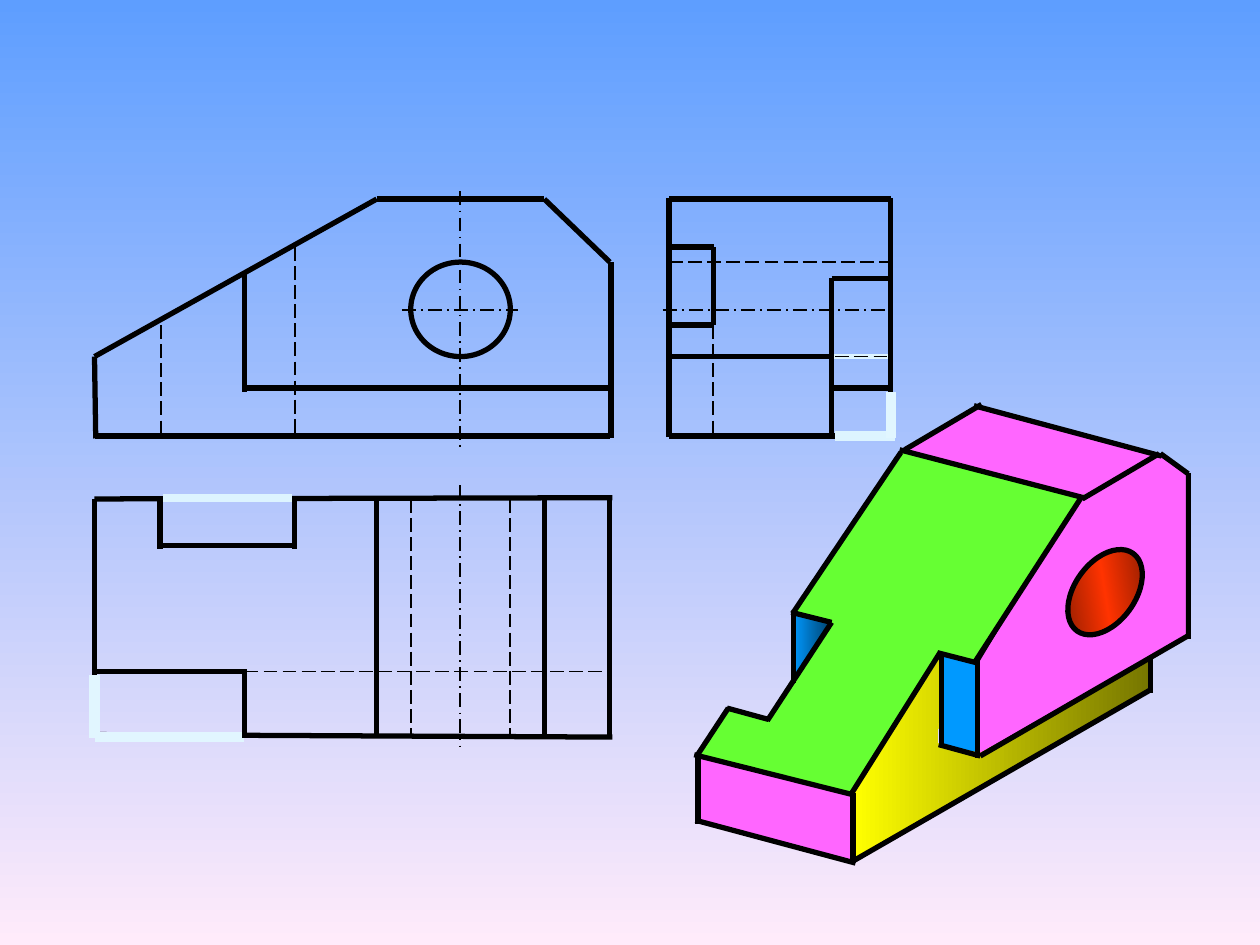
from copy import deepcopy
from lxml.etree import SubElement
from pptx import Presentation
from pptx.dml.color import RGBColor
from pptx.enum.dml import MSO_LINE_DASH_STYLE as Dash
from pptx.enum.shapes import MSO_CONNECTOR as Connector, MSO_SHAPE as Shape
from pptx.oxml.ns import qn
from pptx.util import Inches, Pt

COLS, ROWS = 1000, 750
COLORS = {
    "sky": "5E9EFF", "blush": "FFEBFA", "ink": "000000",
    "pink": "FF66FF", "green": "66FF33", "blue": "0099FF", "navy": "004776",
    "yellow": "FFFF00", "olive": "767600", "red": "FF3300", "rust": "761800",
    "ice": "DDF4FF", "frost": "E1F6FF",
}
EDGE = ("ink", 3, None)
HIDDEN = ("ink", 1, Dash.LONG_DASH)
AXIS = ("ink", 1, Dash.LONG_DASH_DOT)


class Drawing:
    def __init__(self, prs):
        self.slide = prs.slides.add_slide(prs.slide_layouts[6])
        self.cell = prs.slide_width // COLS
        self.shapes = self.slide.shapes

    def color(self, name):
        return RGBColor.from_string(COLORS[name])

    def gradient(self, fill, owner, names, angle):
        fill.gradient()
        fill.gradient_angle = angle
        stop_list = owner.xpath(".//a:gsLst")[0]
        for _ in names[2:]:
            stop_list.append(deepcopy(stop_list[-1]))
        for i, (stop, name) in enumerate(zip(fill.gradient_stops, names)):
            stop.color.rgb = self.color(name)
            stop.position = i / (len(names) - 1)

    def background(self, *names):
        self.gradient(self.slide.background.fill, self.slide.element, names, 270)

    def paint(self, shape, names, angle, outline):
        shape.shadow.inherit = False
        if not names:
            shape.fill.background()
        elif len(names) == 1:
            shape.fill.solid()
            shape.fill.fore_color.rgb = self.color(names[0])
        else:
            self.gradient(shape.fill, shape.element, names, angle)
        if outline:
            shape.line.color.rgb = self.color("ink")
            shape.line.width = Pt(outline)
        else:
            shape.line.fill.background()

    def face(self, points, *names, outline=0):
        builder = self.shapes.build_freeform(*points[0], scale=self.cell)
        builder.add_line_segments(points[1:], close=True)
        self.paint(builder.convert_to_shape(), names, 0, outline)

    def hole(self, left, top, width, height, *names, tilt=0):
        box = [v * self.cell for v in (left, top, width, height)]
        oval = self.shapes.add_shape(Shape.OVAL, *box)
        oval.rotation = tilt
        self.paint(oval, names, 45, 3)

    def lines(self, style, *segments):
        name, width, dash = style
        for segment in segments:
            ends = [v * self.cell for v in segment]
            line = self.shapes.add_connector(Connector.STRAIGHT, *ends)
            line.line.color.rgb = self.color(name)
            line.line.width = Pt(width)
            if dash:
                line.line.dash_style = dash
            SubElement(line.element.spPr, qn("a:effectLst"))


def draw_solid(d):
    d.shapes = d.slide.shapes.add_group_shape().shapes
    d.face([(919, 360), (942, 376), (942, 505), (777, 599), (776, 526),
            (855, 395)], "pink", outline=1)
    d.face([(718, 358), (776, 324), (917, 361), (861, 394), (748, 364)], "pink")
    d.face([(747, 519), (747, 590), (776, 598), (776, 524)], "blue")
    d.face([(629, 487), (658, 494), (629, 541)], "blue", "navy")
    d.face([(555, 599), (555, 652), (676, 683), (676, 630)], "pink")
    d.face([(677, 631), (677, 683), (911, 550), (913, 523), (778, 598),
            (744, 590), (747, 521)], "yellow", "olive")
    d.face([(715, 358), (861, 397), (860, 392), (773, 527), (745, 519),
            (676, 629), (553, 600), (578, 562), (611, 571), (660, 495),
            (630, 488)], "green")
    d.lines(EDGE,
            (554, 600, 554, 654), (677, 629, 677, 685), (630, 486, 630, 542),
            (747, 518, 747, 592), (776, 523, 776, 602), (943, 375, 943, 507),
            (551, 599, 678, 631), (552, 651, 679, 685), (714, 357, 860, 395),
            (859, 396, 920, 360), (773, 322, 922, 362), (628, 486, 660, 494),
            (744, 518, 775, 526), (745, 591, 778, 600), (778, 600, 944, 504),
            (913, 523, 913, 550), (914, 547, 676, 684), (718, 357, 779, 321),
            (921, 360, 943, 376), (858, 395, 774, 525), (715, 359, 629, 487),
            (660, 494, 609, 572), (610, 571, 577, 562), (578, 562, 553, 600),
            (746, 518, 675, 631))
    d.hole(853, 432, 48, 76, "rust", "red", "rust", tilt=35.9)
    d.shapes = d.slide.shapes


def draw_views(d):
    left, step, ridge, bevel, right = 75, 194, 299, 432, 484
    slot_left, slot_right, axis = 128, 234, 365
    bore_left, bore_right = 326, 405
    top, bore_top, center, bore_bottom, ledge, base = 158, 208, 246, 283, 308, 346
    back, shelf, front = 396, 533, 583
    side_left, side_slot, side_step, side_right = 531, 566, 660, 707

    d.lines(EDGE,
            (left, base, right, base), (left + 1, base + 2, left, bore_bottom),
            (left, bore_bottom, ridge, top), (ridge, top, bevel, top),
            (bevel, top, right, bore_top), (right + 1, bore_top, right + 1, base + 2),
            (step, 217, step, ledge + 3), (step, ledge, right, ledge))
    d.hole(bore_left, bore_top, bore_right - bore_left, bore_bottom - bore_top)
    d.lines(AXIS, (axis, 152, axis, 355), (319, center, 411, center))
    d.lines(HIDDEN, (slot_right, 196, slot_right, base),
            (slot_left, 258, slot_left, base))

    d.lines(EDGE,
            (left, back, right + 2, back - 1), (left, front, right + 2, front + 2),
            *[(x, back, x, front) for x in (left, ridge, bevel, right)],
            (slot_left - 1, 433, slot_right + 2, 433))
    d.lines(AXIS, (axis, 385, axis, 593))
    d.lines(HIDDEN, (step, shelf, right, shelf),
            *[(x, back, x, front) for x in (bore_left, bore_right)])
    d.lines(EDGE, (left - 2, shelf, step + 2, shelf))

    d.lines(EDGE,
            (side_slot, 258, side_left, 258), (side_slot, 258, side_slot, 196),
            (side_slot + 1, 196, side_left, 196),
            (side_step, 221, side_right, 221), (side_step, ledge, side_right, ledge),
            *[(x, base + 1, x, top - 1) for x in (side_left, side_right)],
            *[(side_left, y, side_right, y) for y in (top, base, bore_bottom)])
    d.lines(HIDDEN, (side_slot, 258, side_slot, base),
            (side_left, bore_top, side_right, bore_top))
    d.lines(AXIS, (526, center, 711, center))

    d.lines(("ice", 4.5, None), (129, 395, 232, 395))
    d.lines(("ice", 3, None), (side_step, bore_bottom, 705, bore_bottom))
    d.lines(HIDDEN, (663, bore_bottom, side_right, bore_bottom))
    d.lines(("ice", 6, None), (663, base, 710, base))
    d.lines(("frost", 6, None), (left, 536, left, 586), (left, 585, step, 585),
            (side_right, 311, side_right, base + 2))
    d.lines(EDGE,
            (side_step, base, side_step, 221), (step, shelf, step, 586),
            (slot_right, back, slot_right, 436),
            (slot_left - 1, back - 1, slot_left - 1, 436))


def main():
    prs = Presentation()
    prs.slide_width, prs.slide_height = Inches(10), Inches(7.5)
    drawing = Drawing(prs)
    drawing.background("sky", "blush")
    draw_solid(drawing)
    draw_views(drawing)
    prs.save("out.pptx")


if __name__ == "__main__":
    main()
